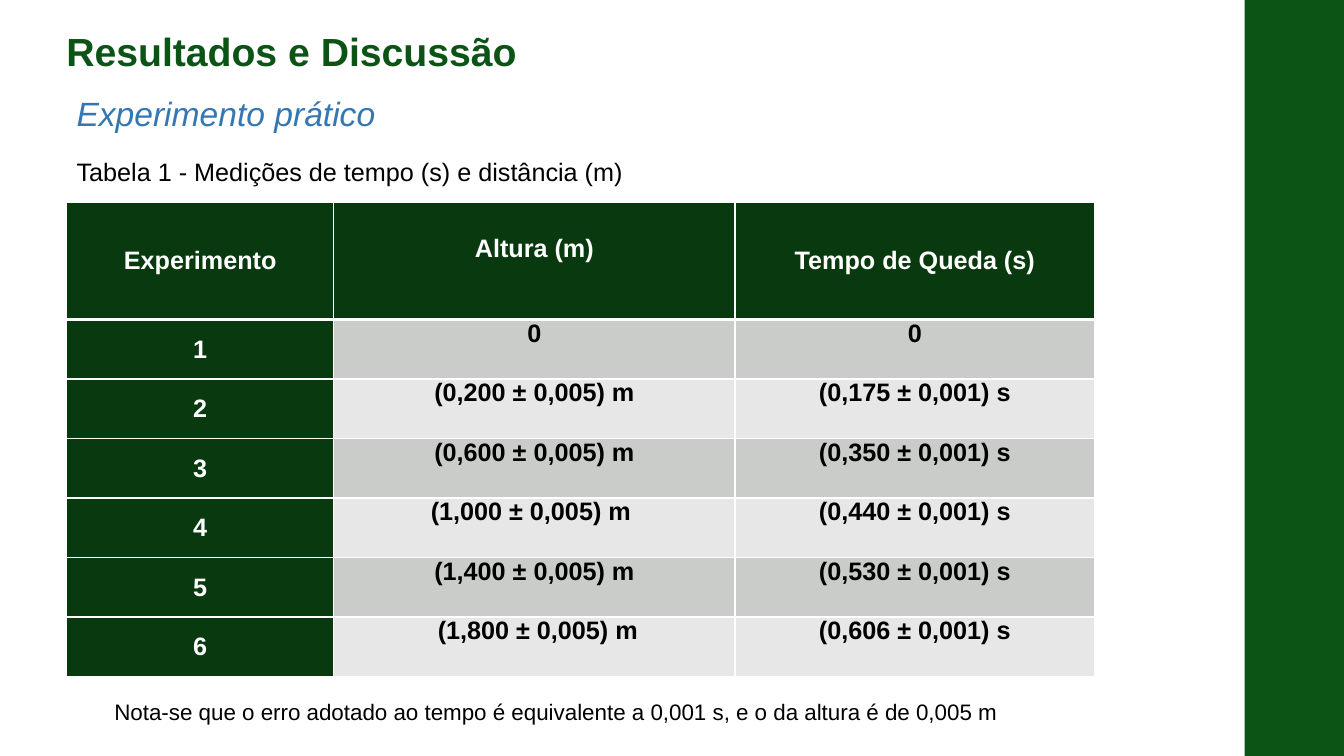
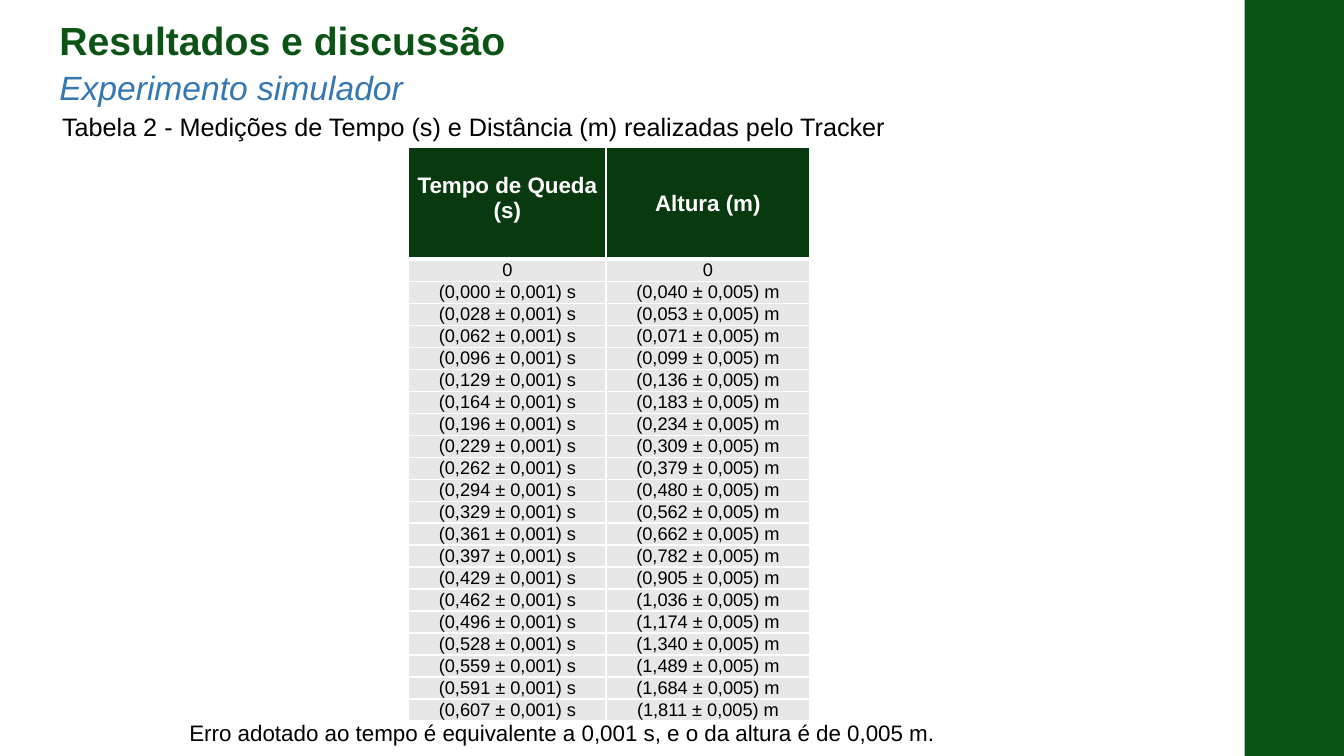
import pptx
import pptx.dml.color
import pptx.enum.shapes
import pptx.enum.text
import pptx.oxml.ns
import pptx.util
from lxml import etree

Pt = pptx.util.Pt
ALIGN = pptx.enum.text.PP_ALIGN
ANCHOR = pptx.enum.text.MSO_ANCHOR
COLORS = {"green": "0C5415", "dark": "09390F", "blue": "3477B2", "black": "000000",
          "white": "FFFFFF", "gray": "CACCCA", "light": "E6E7E6"}
FONT = "Arial"
WIDTH, HEIGHT = 960, 540


def rgb(name):
    return pptx.dml.color.RGBColor.from_string(COLORS[name])


def qn(tag):
    return pptx.oxml.ns.qn("a:" + tag)


def measures(values, error, unit):
    return ["0"] + [f"({v} ± {error}) {unit}" for v in values.split()]


class Deck:
    def __init__(self):
        self.prs = pptx.Presentation()
        self.prs.slide_width, self.prs.slide_height = Pt(WIDTH), Pt(HEIGHT)
        self.s = None

    def slide(self):
        """Start a blank slide with the green side band."""
        self.s = self.prs.slides.add_slide(self.prs.slide_layouts[6])
        sp = self.s.shapes.add_shape(pptx.enum.shapes.MSO_SHAPE.RECTANGLE,
                                     Pt(889), 0, Pt(WIDTH - 889), Pt(HEIGHT))
        sp.shadow.inherit = False
        sp.fill.solid()
        sp.fill.fore_color.rgb = rgb("green")
        sp.line.fill.background()

    def style(self, p, size, color, bold=False, italic=False, align=ALIGN.LEFT):
        p.alignment = align
        for r in p.runs:
            f = r.font
            f.name, f.size, f.bold, f.italic = FONT, Pt(size), bold, italic
            f.color.rgb = rgb(color)

    def text(self, x, y, w, h, text, size, color="black", inset=3.6, **style):
        tf = self.s.shapes.add_textbox(Pt(x), Pt(y), Pt(w), Pt(h)).text_frame
        tf.word_wrap = True
        tf.auto_size = pptx.enum.text.MSO_AUTO_SIZE.SHAPE_TO_FIT_TEXT
        tf.margin_top = tf.margin_bottom = Pt(inset)
        tf.text = text
        self.style(tf.paragraphs[0], size, color, **style)

    def title(self, x, y, w, text):
        self.text(x, y, w, 41, text, 28, "green", bold=True)

    def subtitle(self, x, y, w, text):
        self.text(x, y, w, 35, text, 24, "blue", italic=True)

    def caption(self, x, y, w, text, **style):
        self.text(x, y, w, 29, text, 18, **style)

    def note(self, x, y, w, text):
        self.text(x, y, w, 34, text, 16, inset=7.2)

    def borders(self, cell, top=1, bottom=1):
        tcPr = cell._tc.get_or_add_tcPr()
        for side, width in (("L", 1), ("R", 1), ("T", top), ("B", bottom)):
            ln = etree.SubElement(tcPr, qn("ln" + side), w=str(Pt(width)))
            fill = etree.SubElement(ln, qn("solidFill"))
            etree.SubElement(fill, qn("srgbClr"), val=COLORS["white"])

    def cell(self, cell, text, fill, size, color, bold, anchor, top=0):
        cell.margin_left = cell.margin_right = Pt(5)
        cell.margin_top, cell.margin_bottom = Pt(top), 0
        cell.vertical_anchor = anchor
        cell.fill.solid()
        cell.fill.fore_color.rgb = rgb(fill)
        cell.text_frame.text = text
        self.style(cell.text_frame.paragraphs[0], size, color, bold, align=ALIGN.CENTER)

    def table(self, x, y, widths, head_h, row_h, head, rows, head_size, size, lowered,
              bands=("light",), bold=False, anchor=ANCHOR.MIDDLE, row_heads=False):
        """Draw a table; lowered is (column, gap) of the header set from the top."""
        t = self.s.shapes.add_table(len(rows) + 1, len(head), Pt(x), Pt(y), Pt(sum(widths)),
                                    Pt(head_h + row_h * len(rows))).table
        t.horz_banding = False
        for col, w in zip(t.columns, widths):
            col.width = Pt(w)
        for i, row in enumerate([head, *rows]):
            t.rows[i].height = Pt(row_h if i else head_h)
            for j, text in enumerate(row):
                c = t.cell(i, j)
                self.borders(c, top=3 if i == 1 else 1, bottom=1 if i else 3)
                if i == 0:
                    low = j == lowered[0]
                    self.cell(c, text, "dark", head_size, "white", True,
                              ANCHOR.TOP if low else ANCHOR.MIDDLE, lowered[1] if low else 0)
                elif row_heads and j == 0:
                    self.cell(c, text, "dark", size, "white", True, ANCHOR.MIDDLE)
                else:
                    self.cell(c, text, bands[(i - 1) % len(bands)], size, "black", bold, anchor)


def practical(d):
    d.slide()
    rows = [("1", "0", "0"),
            ("2", "(0,200 ± 0,005) m", "(0,175 ± 0,001) s"),
            ("3", "(0,600 ± 0,005) m", "(0,350 ± 0,001) s"),
            ("4", "(1,000 ± 0,005) m ", "(0,440 ± 0,001) s"),
            ("5", "(1,400 ± 0,005) m", "(0,530 ± 0,001) s"),
            ("6", " (1,800 ± 0,005) m", "(0,606 ± 0,001) s")]
    d.table(47.6, 144.8, (190.8, 286.6, 257), 83.5, 42.5,
            ("Experimento", "Altura (m)", "Tempo de Queda (s)"), rows, 18, 18, (1, 23),
            bands=("gray", "light"), bold=True, anchor=ANCHOR.TOP, row_heads=True)
    d.subtitle(47.6, 62.6, 355, "Experimento prático")
    d.caption(47.6, 108, 555, "Tabela 1 - Medições de tempo (s) e distância (m)")
    d.note(74.6, 491.8, 748,
           "Nota-se que o erro adotado ao tempo é equivalente a 0,001 s, e o da altura é de 0,005 m")
    d.title(40.3, 15.8, 410, "Resultados e Discussão")


def simulated(d):
    d.slide()
    d.subtitle(35.3, 43.9, 729, "Experimento simulador")
    times = measures("0,000 0,028 0,062 0,096 0,129 0,164 0,196 0,229 0,262 0,294 "
                     "0,329 0,361 0,397 0,429 0,462 0,496 0,528 0,559 0,591 0,607", "0,001", "s")
    heights = measures("0,040 0,053 0,071 0,099 0,136 0,183 0,234 0,309 0,379 0,480 "
                       "0,562 0,662 0,782 0,905 1,036 1,174 1,340 1,489 1,684 1,811", "0,005", "m")
    d.table(291.9, 105.4, (141, 145.5), 79.8, 15.72, ("Tempo de Queda (s)", "Altura (m)"),
            list(zip(times, heights)), 16, 13, (0, 18.4))
    d.title(35.3, 7.9, 351, "Resultados e discussão")
    d.caption(35.3, 76.3, 606,
              "Tabela 2 - Medições de Tempo (s) e Distância (m) realizadas pelo Tracker",
              align=ALIGN.CENTER)
    d.note(128.2, 506.2, 773,
           "Erro adotado ao tempo é equivalente a 0,001 s, e o da altura é de 0,005 m.")


def main():
    d = Deck()
    practical(d)
    simulated(d)
    d.prs.save("out.pptx")


if __name__ == "__main__":
    main()
